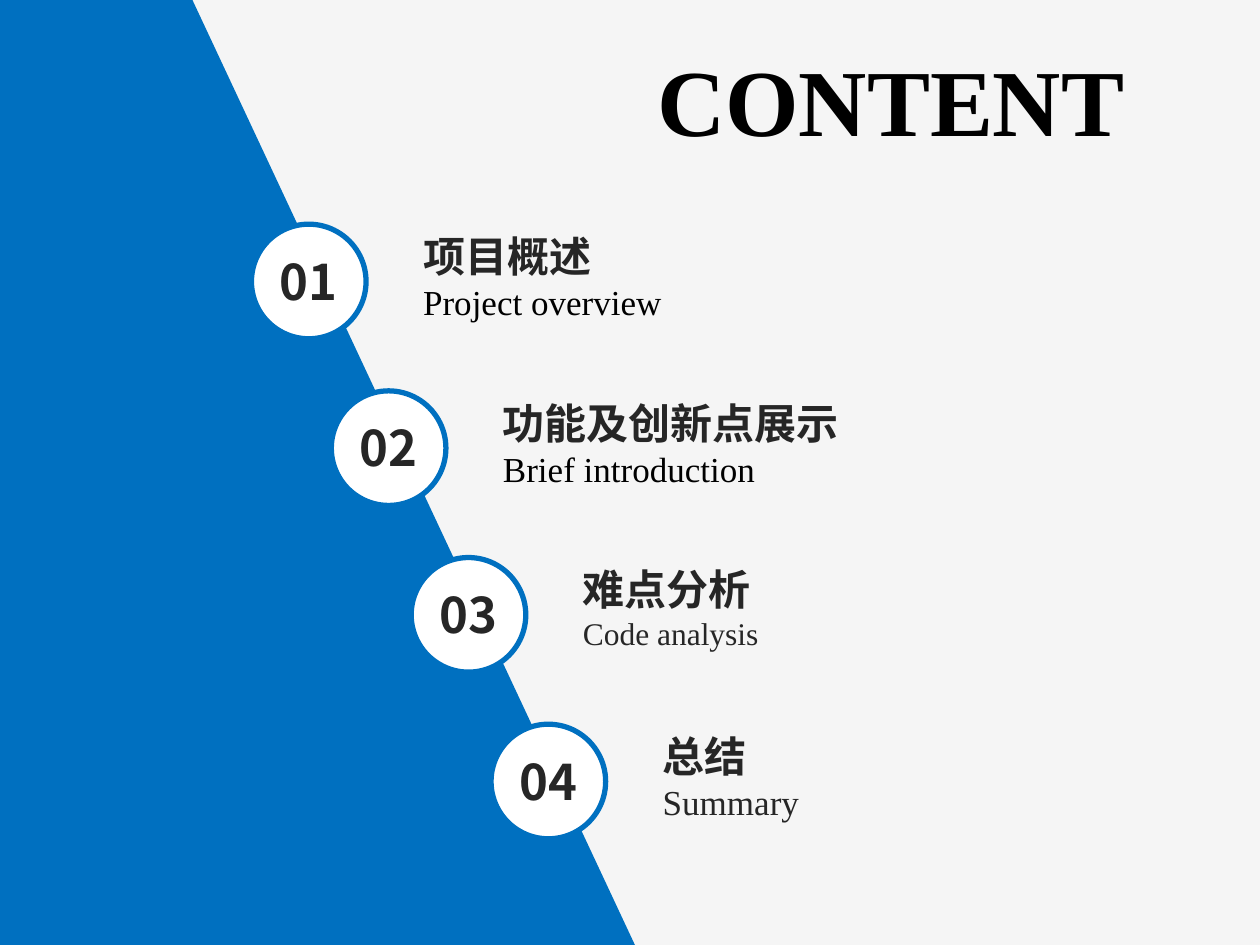
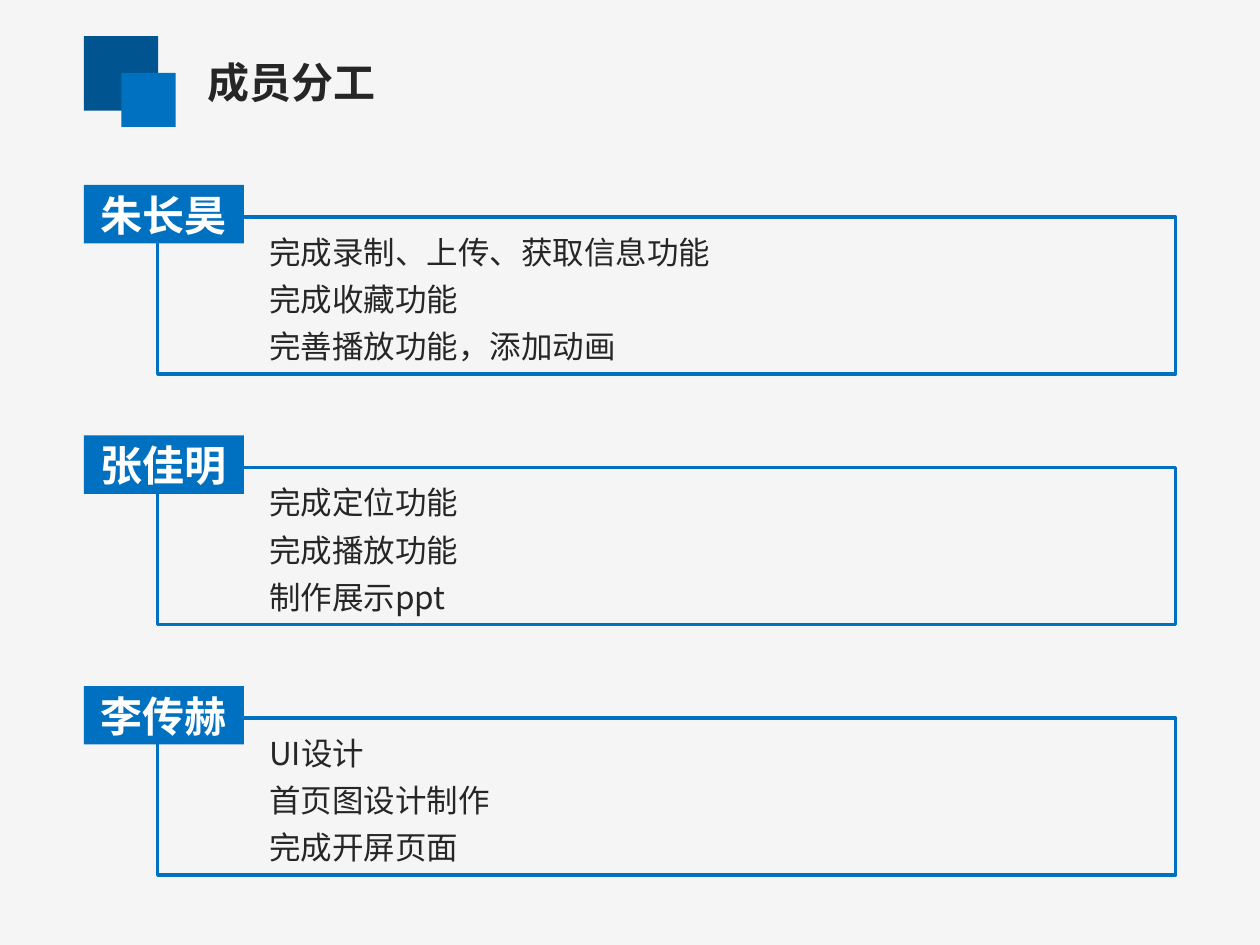
import pptx
import pptx.dml.color
import pptx.enum.shapes
import pptx.enum.text
import pptx.oxml.ns
import pptx.util
from lxml import etree
from pptx.util import Cm

SHAPE = pptx.enum.shapes.MSO_SHAPE
CENTER = pptx.enum.text.PP_ALIGN.CENTER
MIDDLE = pptx.enum.text.MSO_ANCHOR.MIDDLE

BLUE, NAVY, INK = "0070C0", "005490", "262626"
BLACK, WHITE, PAPER = "000000", "FFFFFF", "F5F5F5"
SANS, SERIF = "Noto Sans CJK SC", "Times New Roman"

HEADING = {"size": 24, "name": SANS, "color": INK, "bold": True}
NUMBER = {**HEADING, "size": 28}
TAG = {**HEADING, "color": WHITE}
BODY = {"size": 18, "name": SANS, "color": INK, "bold": False}
BANNER = {"size": 54, "name": SERIF, "color": BLACK, "bold": True}

# Chinese heading, English caption, caption size, caption colour, right edge in cm
CHAPTERS = [
    ("项目概述", "Project overview", 20, BLACK, 23.8),
    ("功能及创新点展示", "Brief introduction", 20, BLACK, 23.8),
    ("难点分析", "Code analysis", 18, INK, 25.4),
    ("总结", "Summary", 20, INK, 25.4),
]
MEMBERS = [
    ("朱长昊", ["完成录制、上传、获取信息功能", "完成收藏功能", "完善播放功能，添加动画"]),
    ("张佳明", ["完成定位功能", "完成播放功能", "制作展示ppt"]),
    ("李传赫", ["UI设计", "首页图设计制作", "完成开屏页面"]),
]


def rgb(value):
    return pptx.dml.color.RGBColor.from_string(value)


def style_font(font, style):
    values = {**style, "size": pptx.util.Pt(style["size"])}
    font.color.rgb = rgb(values.pop("color"))
    for key, value in values.items():
        setattr(font, key, value)


def write(frame, lines, **layout):
    """Fill a text frame with (text, style) lines; layout holds paragraph settings."""
    frame.word_wrap = True
    for index, (text, style) in enumerate(lines):
        para = frame.add_paragraph() if index else frame.paragraphs[0]
        for key, value in layout.items():
            setattr(para, key, value)
        span = para.add_run()
        span.text = text
        style_font(span.font, style)
        east_asian = etree.SubElement(span.font._element, pptx.oxml.ns.qn("a:ea"))
        east_asian.set("typeface", style["name"])


def add_text(shapes, left, top, width, height, lines, **layout):
    box = shapes.add_textbox(Cm(left), Cm(top), Cm(width), Cm(height))
    write(box.text_frame, lines, **layout)


def paint(shape, fill=None, line=None, weight=0):
    shape.shadow.inherit = False
    if fill:
        shape.fill.solid()
        shape.fill.fore_color.rgb = rgb(fill)
    else:
        shape.fill.background()
    if line:
        shape.line.color.rgb = rgb(line)
        shape.line.width = pptx.util.Pt(weight)
    else:
        shape.line.fill.background()


def add_block(shapes, kind, left, top, width, height, **look):
    block = shapes.add_shape(kind, Cm(left), Cm(top), Cm(width), Cm(height))
    paint(block, **look)
    return block


def add_slanted_panel(page):
    outline = page.shapes.build_freeform(0, 0)
    corners = [(3.88, 0), (12.8, 19.05), (0, 19.05)]
    outline.add_line_segments([(Cm(x), Cm(y)) for x, y in corners])
    paint(outline.convert_to_shape(), fill=BLUE)


def add_number_badge(page, left, top, number):
    shapes = page.shapes.add_group_shape().shapes
    add_block(shapes, SHAPE.OVAL, left, top, 2.31, 2.31, fill=WHITE, line=BLUE, weight=3)
    add_text(shapes, left + 0.22, top + 0.42, 1.87, 1.45,
             [(f"{number:02}", NUMBER)], alignment=CENTER)


def add_heading(page, text):
    """Two overlapping squares followed by the slide title."""
    shapes = page.shapes.add_group_shape().shapes
    add_block(shapes, SHAPE.RECTANGLE, 1.69, 0.73, 1.5, 1.5, fill=NAVY)
    add_block(shapes, SHAPE.RECTANGLE, 2.45, 1.47, 1.09, 1.09, fill=BLUE)
    add_text(page.shapes, 3.93, 1.02, 19.77, 1.28, [(text, HEADING)])


def add_member(page, top, name, tasks):
    """A framed task list with the member's name on its upper left corner."""
    frame = add_block(page.shapes, SHAPE.RECTANGLE, 3.18, top + 0.65, 20.52, 3.16,
                      line=BLUE, weight=2)
    frame.text_frame.vertical_anchor = pptx.enum.text.MSO_ANCHOR.TOP
    write(frame.text_frame, [(task, BODY) for task in tasks],
          line_spacing=1.25, alignment=pptx.enum.text.PP_ALIGN.LEFT)
    for para in frame.text_frame.paragraphs:
        para._p.get_or_add_pPr().set("indent", str(Cm(2)))
    tag = add_block(page.shapes, SHAPE.RECTANGLE, 1.69, top, 3.23, 1.18, fill=BLUE)
    tag.text_frame.vertical_anchor = MIDDLE
    write(tag.text_frame, [(name, TAG)], alignment=CENTER)


def add_page(deck):
    return deck.slides.add_slide(deck.slide_layouts[6])


def build_contents(page):
    add_slanted_panel(page)
    for index, (title, caption, size, color, right) in enumerate(CHAPTERS):
        shift, top = 1.61 * index, 4.52 + 3.36 * index
        add_number_badge(page, 5.07 + shift, top, index + 1)
        left = 8.28 + shift
        small = {"size": size, "name": SERIF, "color": color, "bold": False}
        add_text(page.shapes, left, top, right - left, 2.13,
                 [(title, HEADING), (caption, small)])
    add_text(page.shapes, 12.12, 0.72, 11.68, 2.56, [("CONTENT", BANNER)], alignment=CENTER)


def build_members(page):
    add_heading(page, "成员分工")
    for index, (name, tasks) in enumerate(MEMBERS):
        add_member(page, 3.73 + 5.05 * index, name, tasks)


def main():
    deck = pptx.Presentation()
    deck.slide_width, deck.slide_height = Cm(25.4), Cm(19.05)
    background = deck.slide_master.background.fill
    background.solid()
    background.fore_color.rgb = rgb(PAPER)
    build_contents(add_page(deck))
    build_members(add_page(deck))
    deck.save("out.pptx")


if __name__ == "__main__":
    main()
